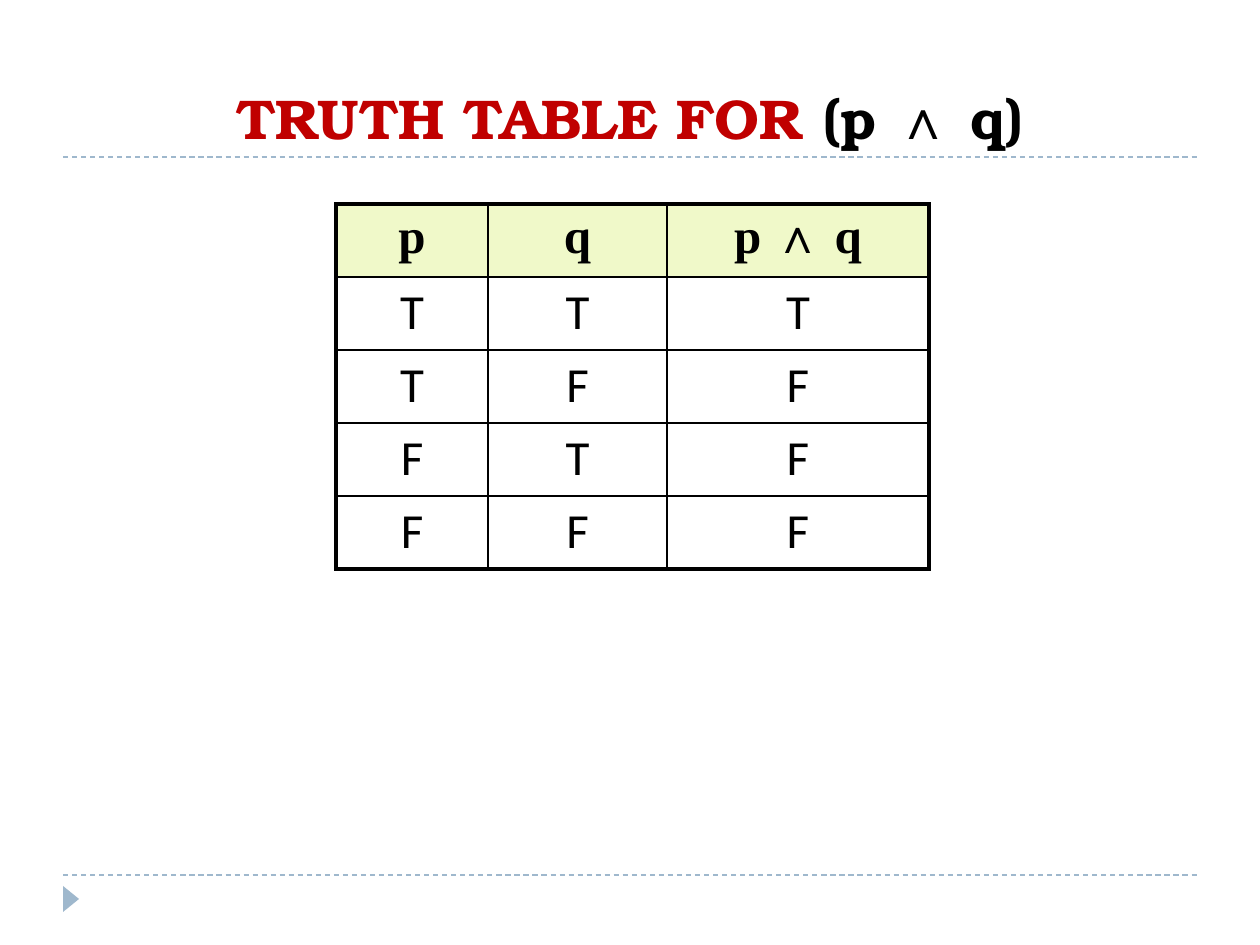
from lxml.etree import SubElement
from pptx import Presentation
from pptx.dml.color import RGBColor
from pptx.enum.dml import MSO_LINE_DASH_STYLE as Dash
from pptx.enum.shapes import MSO_CONNECTOR as Connector, MSO_SHAPE as Shape
from pptx.enum.text import MSO_ANCHOR as Anchor, PP_ALIGN as Align
from pptx.oxml.ns import qn
from pptx.util import Emu, Pt

PX_PER_INCH = 126
BLACK = RGBColor(0x00, 0x00, 0x00)
RED = RGBColor(0xC0, 0x00, 0x00)
BLUE_GREY = RGBColor(0x9F, 0xB8, 0xCD)
PALE_GREEN = RGBColor(0xF0, 0xF9, 0xC9)

HEADINGS = ("p", "q", "p ∧ q")
TRUTH_ROWS = ("TTT", "TFF", "FTF", "FFF")
COLUMN_WIDTHS = (152, 179, 262)
ROW_HEIGHT = 73
THIN, THICK = Pt(1), Pt(2.25)


def px(count):
    return Emu(round(count * 914400 / PX_PER_INCH))


def add_text(para, text, font, size, color=BLACK, bold=False):
    span = para.add_run()
    span.text = text
    span.font.name = font
    span.font.size = Pt(size)
    span.font.bold = bold
    span.font.color.rgb = color


def add_rule(page, left, top, width):
    rule = page.shapes.add_connector(
        Connector.STRAIGHT, px(left), px(top), px(left + width), px(top))
    rule.line.color.rgb = BLUE_GREY
    rule.line.width = Pt(0.75)
    rule.line.dash_style = Dash.DASH
    SubElement(rule._element.spPr, qn("a:effectLst"))


def add_footer(page, left, top, width):
    add_rule(page, left, top, width)
    marker = page.shapes.add_shape(
        Shape.ISOSCELES_TRIANGLE, px(left - 5), px(top + 16), px(26), px(16))
    marker.rotation = 90
    marker.shadow.inherit = False
    marker.fill.solid()
    marker.fill.fore_color.rgb = BLUE_GREY
    marker.line.fill.background()


def add_title(page, left, top, width, height):
    add_rule(page, left, top + height, width)
    box = page.shapes.add_textbox(px(left), px(top), px(width), px(height))
    frame = box.text_frame
    frame.word_wrap = True
    frame.vertical_anchor = Anchor.BOTTOM
    para = frame.paragraphs[0]
    para.alignment = Align.CENTER
    for text, color in (("TRUTH TABLE FOR ", RED), ("(p ∧ q)", BLACK)):
        add_text(para, text, "TeX Gyre Bonum", 32, color=color, bold=True)


def set_borders(cell, **widths):
    """Draw black borders; the keywords L, R, T and B give their widths."""
    properties = cell._tc.get_or_add_tcPr()
    for side, width in widths.items():
        border = SubElement(properties, qn(f"a:ln{side}"), w=str(width))
        fill = SubElement(border, qn("a:solidFill"))
        SubElement(fill, qn("a:srgbClr"), val=str(BLACK))


def add_truth_table(page, left, top):
    rows = (HEADINGS, *TRUTH_ROWS)
    last_row, last_column = len(rows) - 1, len(HEADINGS) - 1
    table = page.shapes.add_table(
        len(rows), len(HEADINGS), px(left), px(top),
        px(sum(COLUMN_WIDTHS)), px(ROW_HEIGHT * len(rows))).table
    table.first_row = table.horz_banding = False
    for column, width in zip(table.columns, COLUMN_WIDTHS):
        column.width = px(width)
    for r, values in enumerate(rows):
        table.rows[r].height = px(ROW_HEIGHT)
        heading = r == 0
        for c, value in enumerate(values):
            cell = table.cell(r, c)
            set_borders(cell,
                        L=THICK if c == 0 else THIN,
                        R=THICK if c == last_column else THIN,
                        T=THICK if heading else THIN,
                        B=THICK if r == last_row else THIN)
            if heading:
                cell.fill.solid()
                cell.fill.fore_color.rgb = PALE_GREEN
            else:
                cell.fill.background()
            para = cell.text_frame.paragraphs[0]
            para.alignment = Align.CENTER
            para.space_after = Pt(10)
            add_text(para, value, "Times New Roman" if heading else "Calibri",
                     28, bold=heading)


def main():
    deck = Presentation()
    deck.slide_width, deck.slide_height = px(1260), px(945)
    page = deck.slides.add_slide(deck.slide_layouts[6])
    add_footer(page, 63, 875, 1134)
    add_title(page, 63, 21, 1134, 136)
    add_truth_table(page, 336, 204)
    deck.save("out.pptx")


if __name__ == "__main__":
    main()
